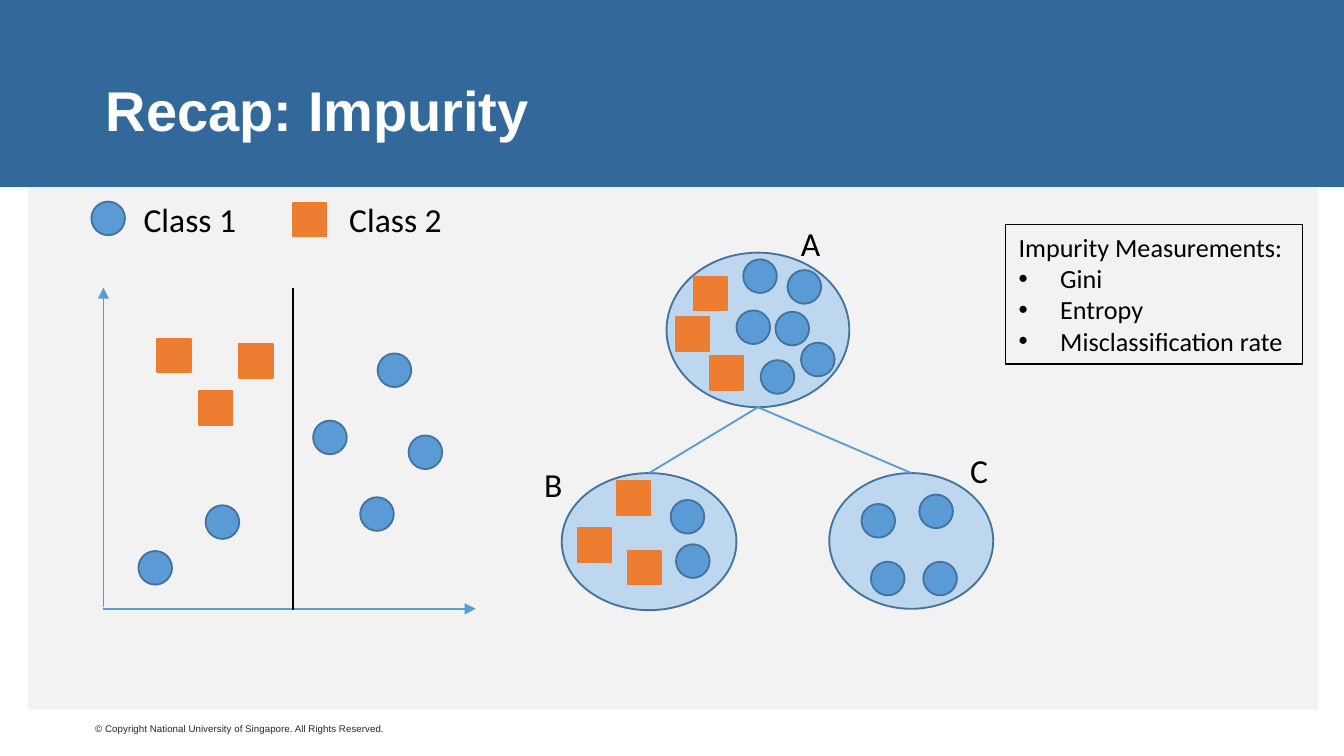
"""Build the impurity recap slide with a scatter plot and a split tree."""
from pptx import Presentation
from pptx.dml.color import RGBColor
from pptx.enum.shapes import MSO_CONNECTOR, MSO_SHAPE
from pptx.enum.text import MSO_ANCHOR, PP_ALIGN
from pptx.oxml.xmlchemy import OxmlElement
from pptx.util import Inches, Pt

BLUE, DARK_BLUE, PALE_BLUE = "5B9BD5", "43739E", "BDD7EE"
ORANGE, BLACK = "ED7D31", "000000"
MARKER_SIZE = 0.25


def add_filled_shape(kind, box, fill, outline=None):
    shape = slide.shapes.add_shape(kind, *map(Inches, box))
    shape.shadow.inherit = False
    shape.fill.solid()
    shape.fill.fore_color.rgb = RGBColor.from_string(fill)
    if outline:
        shape.line.color.rgb = RGBColor.from_string(outline)
        shape.line.width = Pt(1)
    else:
        shape.line.fill.background()
    return shape


def add_text(box, text, size, color=BLACK, font="Calibri", bold=False, wrap=True):
    shape = slide.shapes.add_textbox(*map(Inches, box))
    shape.text_frame.word_wrap = wrap
    shape.text_frame.text = text
    for paragraph in shape.text_frame.paragraphs:
        paragraph.alignment = PP_ALIGN.LEFT
        for run in paragraph.runs:
            run.font.name = font
            run.font.size = Pt(size)
            run.font.bold = bold
            run.font.color.rgb = RGBColor.from_string(color)
    return shape


presentation = Presentation()
presentation.slide_width = Inches(10)
presentation.slide_height = presentation.slide_width * 9 // 16
slide = presentation.slides.add_slide(presentation.slide_layouts[6])

add_text((0.61, 5.33, 2.38, 0.19),
         "© Copyright National University of Singapore. All Rights Reserved.",
         5.25, "262626", "Arial", wrap=False)
add_filled_shape(MSO_SHAPE.RECTANGLE, (0.21, 1.39, 9.6, 3.89), "F2F2F2")
add_filled_shape(MSO_SHAPE.RECTANGLE, (0, 0, 10.08, 1.39), "33689B")
title = add_text((0.69, 0.3, 8.62, 1.09), "Recap: Impurity", 30, "FFFFFF", "Arial", True)
title.text_frame.vertical_anchor = MSO_ANCHOR.MIDDLE
title.text_frame.paragraphs[0].line_spacing = 0.9

tree_nodes = [(4.96, 1.88, 1.36, 1.15), (4.18, 3.52, 1.3, 1.02), (6.17, 3.52, 1.22, 1.01)]
for box in tree_nodes:
    add_filled_shape(MSO_SHAPE.OVAL, box, PALE_BLUE, DARK_BLUE)

lines = [
    ((0.77, 4.52), (0.77, 2.14), BLUE, True),
    ((0.77, 4.53), (3.54, 4.53), BLUE, True),
    ((2.18, 2.14), (2.18, 4.54), BLACK, False),
    ((5.64, 3.03), (4.83, 3.52), BLUE, False),
    ((5.64, 3.03), (6.78, 3.52), BLUE, False),
]
for start, end, color, has_arrow in lines:
    connector = slide.shapes.add_connector(MSO_CONNECTOR.STRAIGHT, *map(Inches, start + end))
    connector.line.color.rgb = RGBColor.from_string(color)
    connector.line.width = Pt(1)
    if has_arrow:
        arrowhead = OxmlElement("a:tailEnd")
        arrowhead.set("type", "triangle")
        connector._element.spPr.ln.append(arrowhead)
    connector._element.spPr.append(OxmlElement("a:effectLst"))

class_1_points = [
    (0.68, 1.5),
    (2.81, 2.63), (2.33, 3.13), (3.04, 3.24), (1.53, 3.76), (2.68, 3.7), (1.03, 4.1),
    (5.53, 1.93), (5.86, 2.01), (5.48, 2.31), (5.77, 2.32), (5.96, 2.55), (5.66, 2.68),
    (4.99, 3.72), (5.03, 4.05),
    (6.41, 3.75), (6.84, 3.68), (6.48, 4.18), (6.87, 4.18),
]
class_2_points = [
    (2.18, 1.51),
    (1.17, 2.52), (1.48, 2.91), (1.78, 2.56),
    (5.16, 2.06), (5.03, 2.36), (5.28, 2.65),
    (4.59, 3.58), (4.3, 3.93), (4.67, 4.1),
]
for kind, points, fill, outline in [
    (MSO_SHAPE.OVAL, class_1_points, BLUE, DARK_BLUE),
    (MSO_SHAPE.RECTANGLE, class_2_points, ORANGE, ORANGE),
]:
    for left, top in points:
        add_filled_shape(kind, (left, top, MARKER_SIZE, MARKER_SIZE), fill, outline)

for name, left, top in [("A", 5.86, 1.61), ("B", 3.95, 3.4), ("C", 7.12, 3.3)]:
    add_text((left, top, 0.35, 0.4), name, 18, wrap=False)
for name, left in [("Class 1", 0.97), ("Class 2", 2.5)]:
    add_text((left, 1.43, 1.08, 0.4), name, 18)

measurements = add_text((7.48, 1.67, 2.21, 1.04),
                        "Impurity Measurements:\nGini\nEntropy\nMisclassification rate", 14)
measurements.line.color.rgb = RGBColor.from_string(BLACK)
measurements.line.width = Pt(0.75)
for paragraph in measurements.text_frame.paragraphs[1:]:
    properties = paragraph._p.get_or_add_pPr()
    properties.set("marL", str(Inches(0.31)))
    properties.set("indent", str(-Inches(0.31)))
    bullet_font = OxmlElement("a:buFont")
    bullet_font.set("typeface", "Arial")
    bullet = OxmlElement("a:buChar")
    bullet.set("char", "•")
    properties.extend([bullet_font, bullet])

presentation.save("out.pptx")
